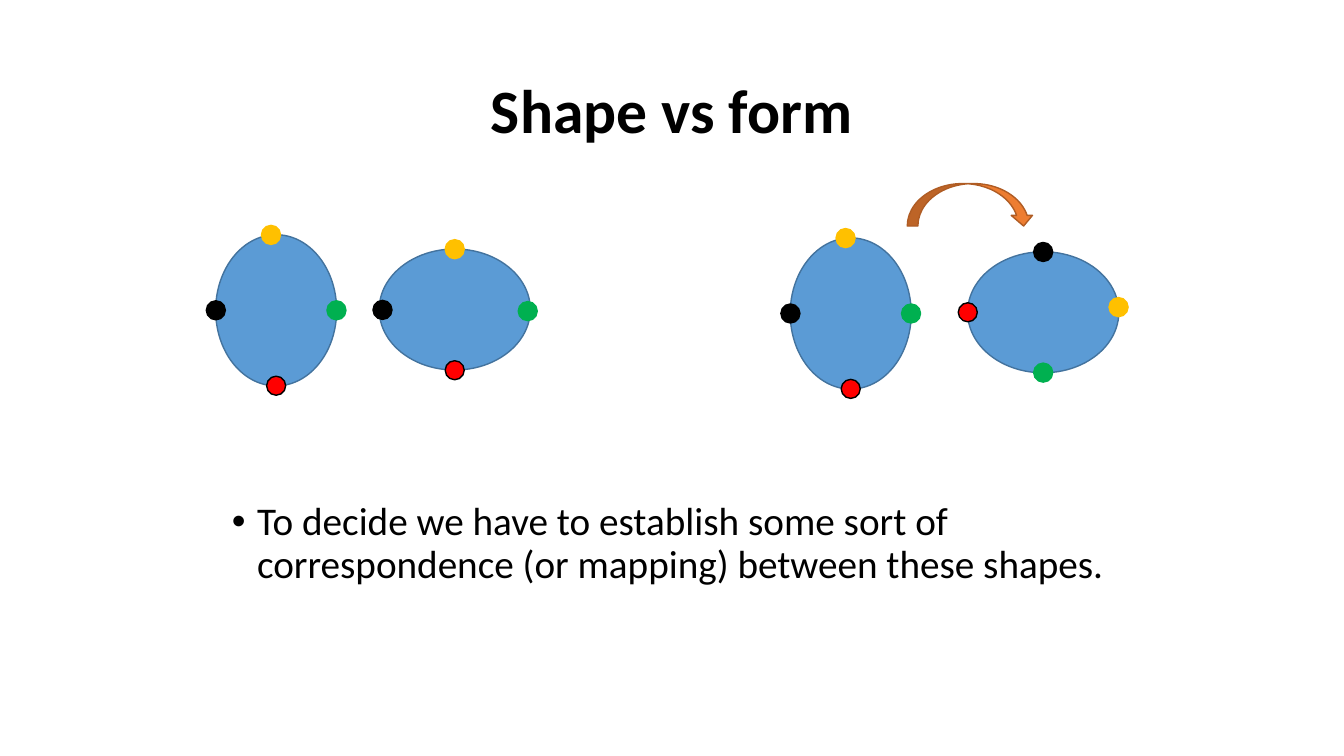
from dataclasses import dataclass

from lxml.etree import SubElement
from pptx import Presentation
from pptx.dml.color import RGBColor
from pptx.enum.shapes import MSO_SHAPE
from pptx.enum.text import MSO_ANCHOR, MSO_AUTO_SIZE, PP_ALIGN
from pptx.oxml.ns import qn
from pptx.shapes.autoshape import Shape
from pptx.shapes.placeholder import SlidePlaceholder
from pptx.slide import Slide
from pptx.util import Cm, Pt


@dataclass(frozen=True)
class Theme:
    font: str = "Calibri"
    title: int = 44
    body: int = 28
    line: int = 1
    black: str = "000000"
    red: str = "FF0000"
    green: str = "00B050"
    gold: str = "FFC000"
    blue: str = "5B9BD5"
    navy: str = "43739E"
    orange: str = "ED7D31"
    rust: str = "AF5C24"


THEME = Theme()


@dataclass(frozen=True)
class Box:
    left: float
    top: float
    width: float
    height: float


@dataclass(frozen=True)
class Mark:
    """A dot, placed from the centre of its oval."""
    x: float
    y: float
    fill: str
    line: str


@dataclass(frozen=True)
class Oval:
    x: float
    y: float
    turn: int
    marks: tuple[Mark, ...]


WIDTH, HEIGHT, DOT = 3.05, 3.81, 0.48
TALL = (
    Mark(-1.52, 0, THEME.black, THEME.black),
    Mark(0, 1.9, THEME.red, THEME.black),
    Mark(1.52, 0, THEME.green, THEME.green),
    Mark(-0.13, -1.9, THEME.gold, THEME.gold),
)
WIDE = (
    Mark(-1.82, 0.01, THEME.black, THEME.black),
    Mark(0, 1.53, THEME.red, THEME.black),
    Mark(1.84, 0.04, THEME.green, THEME.green),
    Mark(0, -1.52, THEME.gold, THEME.gold),
)
TURNED = tuple(Mark(-m.y, m.x, m.fill, m.line) for m in TALL)
OVALS = (
    Oval(6.96, 7.82, 0, TALL),
    Oval(11.46, 7.8, 90, WIDE),
    Oval(21.44, 7.9, 0, TALL),
    Oval(26.29, 7.87, 90, TURNED),
)


def paint(shape: Shape, fill: str, line: str, turn: int = 0) -> None:
    shape.shadow.inherit = False
    shape.fill.solid()
    shape.fill.fore_color.rgb = RGBColor.from_string(fill)
    shape.line.color.rgb = RGBColor.from_string(line)
    shape.line.width = Pt(THEME.line)
    shape.rotation = turn


def draw_oval(slide: Slide, oval: Oval) -> None:
    """Draw an oval and its dots as one group."""
    group = slide.shapes.add_group_shape()

    def disc(x: float, y: float, width: float, height: float) -> Shape:
        return group.shapes.add_shape(
            MSO_SHAPE.OVAL, Cm(x - width / 2), Cm(y - height / 2),
            Cm(width), Cm(height))

    paint(disc(oval.x, oval.y, WIDTH, HEIGHT), THEME.blue, THEME.navy, oval.turn)
    for mark in oval.marks:
        dot = disc(oval.x + mark.x, oval.y + mark.y, DOT, DOT)
        paint(dot, mark.fill, mark.line)


def draw_arrow(slide: Slide, box: Box) -> None:
    arrow = slide.shapes.add_shape(
        MSO_SHAPE.CURVED_LEFT_ARROW, Cm(box.left), Cm(box.top),
        Cm(box.width), Cm(box.height))
    paint(arrow, THEME.orange, THEME.rust, 270)


def write(holder: SlidePlaceholder, box: Box, text: str, size: int,
          align: PP_ALIGN, anchor: MSO_ANCHOR, bold: bool = False,
          bullet: bool = False) -> None:
    """Move a placeholder, then fill and format it."""
    holder.left, holder.top = Cm(box.left), Cm(box.top)
    holder.width, holder.height = Cm(box.width), Cm(box.height)
    frame = holder.text_frame
    frame.text = text
    frame.word_wrap = True
    frame.auto_size = MSO_AUTO_SIZE.NONE
    frame.vertical_anchor = anchor
    para = frame.paragraphs[0]
    para.alignment = align
    para.line_spacing = 0.9
    para.space_before = Pt(0)
    if bullet:
        props = para._p.get_or_add_pPr()
        props.set("marL", str(Cm(0.635)))
        props.set("indent", str(Cm(-0.635)))
        SubElement(props, qn("a:buFont"), typeface="Arial")
        SubElement(props, qn("a:buChar"), char="•")
    font = para.runs[0].font
    font.name, font.size, font.bold = THEME.font, Pt(size), bold
    font.color.rgb = RGBColor.from_string(THEME.black)


def main() -> None:
    deck = Presentation()
    deck.slide_width, deck.slide_height = Cm(33.87), Cm(19.05)
    slide = deck.slides.add_slide(deck.slide_layouts[1])
    write(slide.shapes.title, Box(2.33, 1.02, 29.21, 3.68), "Shape vs form",
          THEME.title, PP_ALIGN.CENTER, MSO_ANCHOR.MIDDLE, bold=True)
    write(slide.placeholders[1], Box(5.59, 12.52, 22.71, 4.72),
          "To decide we have to establish some sort of correspondence "
          "(or mapping) between these shapes.",
          THEME.body, PP_ALIGN.LEFT, MSO_ANCHOR.TOP, bullet=True)
    for oval in OVALS:
        draw_oval(slide, oval)
    draw_arrow(slide, Box(23.93, 3.56, 1.07, 3.2))
    deck.save("out.pptx")


if __name__ == "__main__":
    main()
